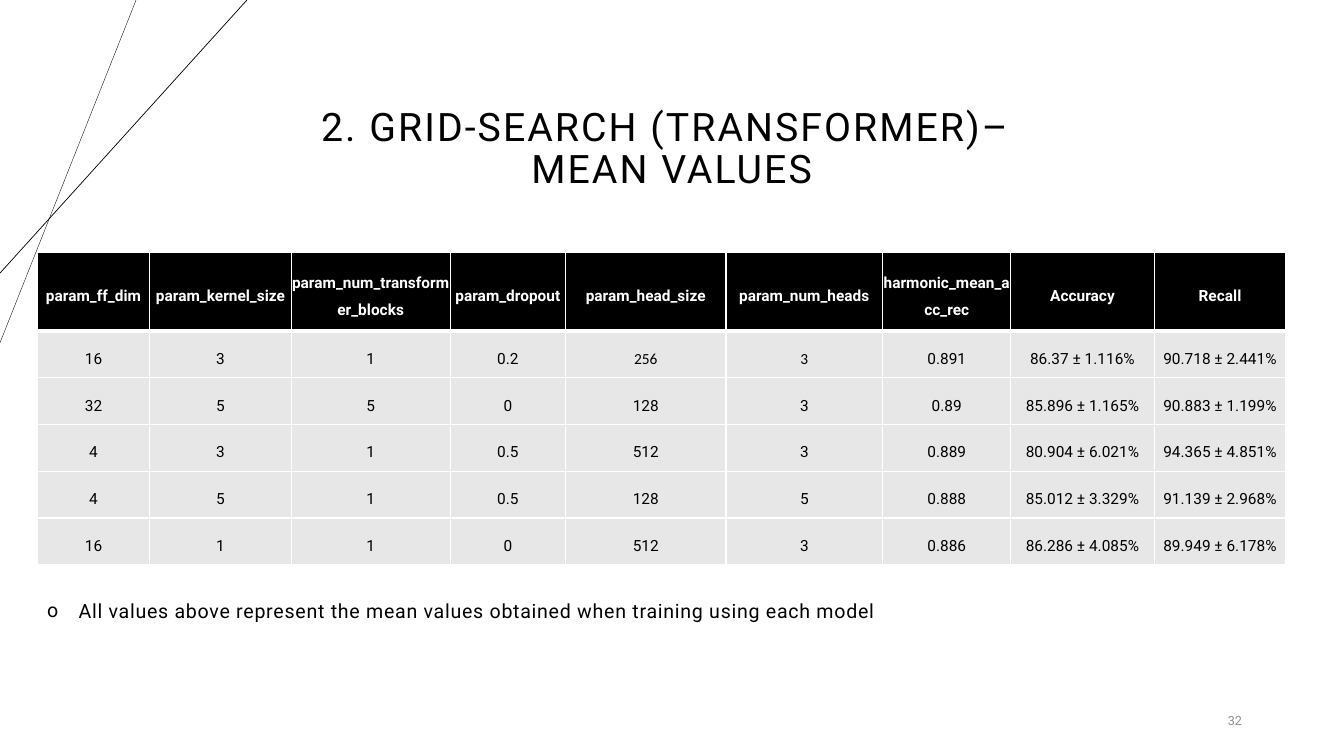
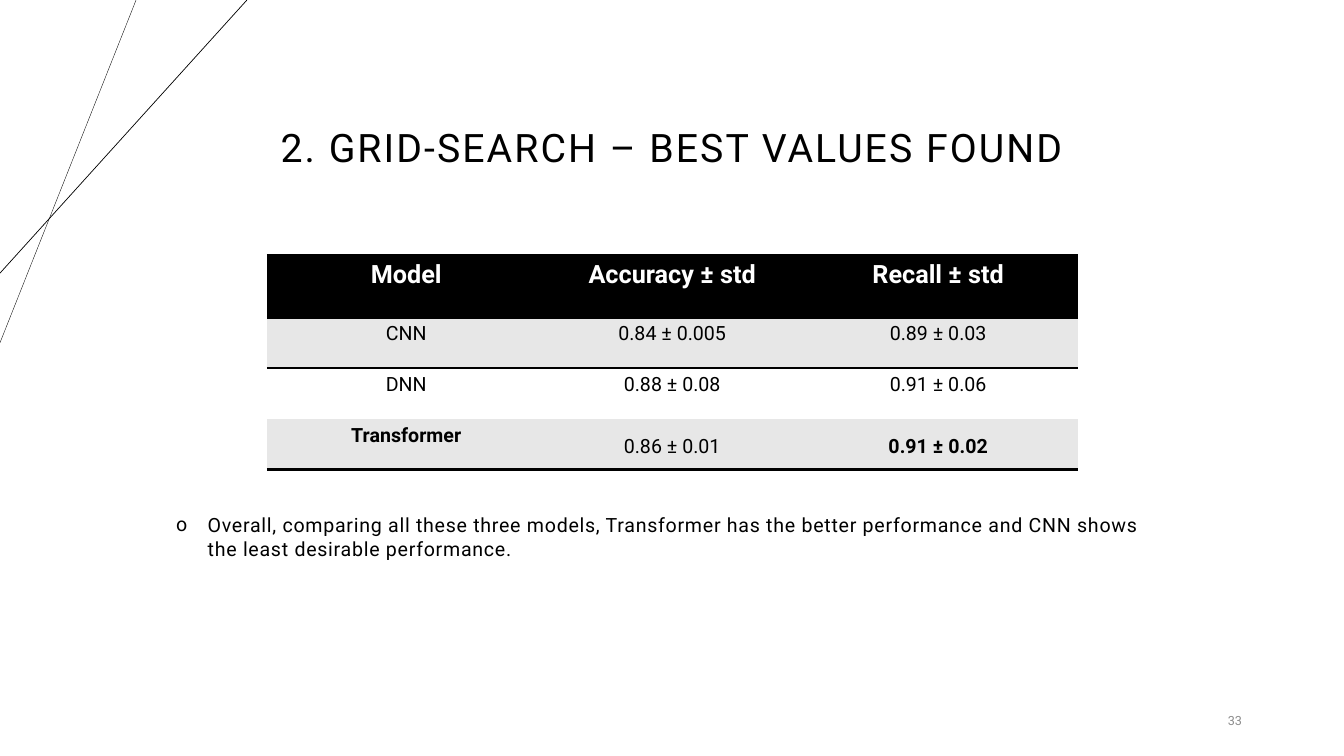
from lxml import etree
from pptx import Presentation
from pptx.dml.color import RGBColor
from pptx.enum.shapes import MSO_CONNECTOR
from pptx.enum.text import MSO_ANCHOR, PP_ALIGN
from pptx.oxml.ns import qn
from pptx.util import Pt

STRAIGHT = MSO_CONNECTOR.STRAIGHT
TOP, MIDDLE = MSO_ANCHOR.TOP, MSO_ANCHOR.MIDDLE
LEFT, CENTER, RIGHT = PP_ALIGN.LEFT, PP_ALIGN.CENTER, PP_ALIGN.RIGHT

COLORS = {"ink": "000000", "paper": "FFFFFF", "band": "E7E7E7", "page": "8C8C8C"}
FONT, ALT_FONT = "Roboto", "Calibri"
PLAIN_TABLE_STYLE = "{2D5ABB26-0587-4C30-8999-92F81FD0307C}"
BULLET_INDENT = 22.5

# (start x, end y, line width): each runs from the top edge to the left edge
CORNER_LINES = [(97.2, 244.8, 0.25), (176.4, 195.1, 0.5)]

GRID_COLUMNS = [80.5, 101, 113.5, 82.5, 114.5, 112, 91.5, 102.5, 94]
GRID_ROWS = [
    ["param_ff_dim", "param_kernel_size", "param_num_transformer_blocks",
     "param_dropout", "param_head_size", "param_num_heads",
     "harmonic_mean_acc_rec", "Accuracy", "Recall"],
    ["16", "3", "1", "0.2", "256", "3", "0.891", "86.37 ± 1.116%", "90.718 ± 2.441%"],
    ["32", "5", "5", "0", "128", "3", "0.89", "85.896 ± 1.165%", "90.883 ± 1.199%"],
    ["4", "3", "1", "0.5", "512", "3", "0.889", "80.904 ± 6.021%", "94.365 ± 4.851%"],
    ["4", "5", "1", "0.5", "128", "5", "0.888", "85.012 ± 3.329%", "91.139 ± 2.968%"],
    ["16", "1", "1", "0", "512", "3", "0.886", "86.286 ± 4.085%", "89.949 ± 6.178%"],
]
ALT_FONT_CELLS = {(1, 4), (1, 5)}

BEST_COLUMNS = [199, 181, 199]
BEST_ROWS = [
    ["Model", "Accuracy ± std", "Recall ± std"],
    ["CNN", "0.84 ± 0.005", "0.89 ± 0.03"],
    ["DNN", "0.88 ± 0.08", "0.91 ± 0.06"],
    ["Transformer", "0.86 ± 0.01", "0.91 ± 0.02"],
]
BEST_BOLD_CELLS = {(3, 0), (3, 2)}
BEST_TALL_CELLS = {(3, 1), (3, 2)}


def rgb(color):
    return RGBColor.from_string(COLORS[color])


def style_paragraph(paragraph, size, color="ink", align=LEFT, bold=False,
                    font=FONT, leading=None, tracking=0):
    paragraph.alignment = align
    if leading:
        paragraph.line_spacing = leading
    paragraph.font.size = Pt(size)
    paragraph.font.name = font
    paragraph.font.bold = bold
    paragraph.font.color.rgb = rgb(color)
    if tracking:
        defaults = paragraph._p.get_or_add_pPr().find(qn("a:defRPr"))
        defaults.set("spc", str(round(tracking * 100)))


def add_text(slide, text, box, anchor=TOP):
    """Add a wrapping text box and return its paragraph."""
    frame = slide.shapes.add_textbox(*map(Pt, box)).text_frame
    frame.word_wrap = True
    frame.vertical_anchor = anchor
    paragraph = frame.paragraphs[0]
    paragraph.text = text
    return paragraph


def add_corner_lines(slide):
    for start_x, end_y, width in CORNER_LINES:
        line = slide.shapes.add_connector(STRAIGHT, Pt(start_x), 0, 0, Pt(end_y))
        line.line.color.rgb = rgb("ink")
        line.line.width = Pt(width)
        etree.SubElement(line._element.spPr, qn("a:effectLst"))


def add_base_slide(prs, title, number):
    """Add a slide with the corner lines, title and page number."""
    slide = prs.slides.add_slide(prs.slide_layouts[6])
    add_corner_lines(slide)
    heading = add_text(slide, title, (148.3, 54.7, 663, 104.4), MIDDLE)
    style_paragraph(heading, 28, align=CENTER, leading=0.9, tracking=1.5)
    page = add_text(slide, str(number), (678.2, 500.4, 216, 28.8), MIDDLE)
    style_paragraph(page, 9, "page", RIGHT)
    return slide


def add_bullet(slide, text, left, top):
    paragraph = add_text(slide, text, (left, top, 723, 45))
    properties = paragraph._p.get_or_add_pPr()
    properties.set("marL", str(Pt(BULLET_INDENT)))
    properties.set("indent", str(-Pt(BULLET_INDENT)))
    etree.SubElement(properties, qn("a:buFont"), typeface=FONT)
    etree.SubElement(properties, qn("a:buChar"), char="o")
    style_paragraph(paragraph, 14, tracking=0.5)


def set_borders(cell, color, widths):
    """Draw the sides named in widths, a dict of L, R, T and B to points."""
    properties = cell._tc.get_or_add_tcPr()
    for side in "LRTB":
        if side in widths:
            line = etree.SubElement(properties, qn(f"a:ln{side}"),
                                    w=str(Pt(widths[side])))
            fill = etree.SubElement(line, qn("a:solidFill"))
            etree.SubElement(fill, qn("a:srgbClr"), val=COLORS[color])


def fill_cell(cell, text, color):
    cell.fill.solid()
    cell.fill.fore_color.rgb = rgb(color)
    paragraph = cell.text_frame.paragraphs[0]
    paragraph.text = text
    return paragraph


def add_plain_table(slide, left, top, columns, heights):
    table = slide.shapes.add_table(len(heights), len(columns), Pt(left), Pt(top),
                                   Pt(sum(columns)), Pt(sum(heights))).table
    table._tbl.tblPr.find(qn("a:tableStyleId")).text = PLAIN_TABLE_STYLE
    table.horz_banding = False
    for column, width in zip(table.columns, columns):
        column.width = Pt(width)
    for row, height in zip(table.rows, heights):
        row.height = Pt(height)
    return table


def add_grid_table(slide):
    heights = [56.2] + [33.4] * (len(GRID_ROWS) - 1)
    table = add_plain_table(slide, 26.6, 180.3, GRID_COLUMNS, heights)
    for r, values in enumerate(GRID_ROWS):
        header = r == 0
        borders = {"L": 1, "R": 1, "T": 3 if r == 1 else 1, "B": 3 if header else 1}
        for c, value in enumerate(values):
            cell = table.cell(r, c)
            cell.margin_left = cell.margin_right = 0
            cell.margin_top = cell.margin_bottom = 0
            cell.vertical_anchor = MIDDLE
            set_borders(cell, "paper", borders)
            paragraph = fill_cell(cell, value, "ink" if header else "band")
            style_paragraph(paragraph, 11, "paper" if header else "ink", CENTER,
                            bold=header, leading=1.5,
                            font=ALT_FONT if (r, c) in ALT_FONT_CELLS else FONT)


def add_best_table(slide):
    last = len(BEST_ROWS) - 1
    table = add_plain_table(slide, 190.7, 182.2, BEST_COLUMNS, [44.6] + [36.2] * last)
    for r, values in enumerate(BEST_ROWS):
        header = r == 0
        borders = {0: {"T": 2, "B": 2}, 1: {"T": 2}, last: {"B": 2}}.get(r, {})
        background = "ink" if header else "band" if r % 2 else "paper"
        for c, value in enumerate(values):
            cell = table.cell(r, c)
            set_borders(cell, "ink", borders)
            paragraph = fill_cell(cell, value, background)
            style_paragraph(paragraph, 18 if header else 14,
                            "paper" if header else "ink", CENTER,
                            bold=header or (r, c) in BEST_BOLD_CELLS,
                            leading=1.5 if (r, c) in BEST_TALL_CELLS else None)


def main():
    prs = Presentation()
    prs.slide_width, prs.slide_height = Pt(960), Pt(540)

    grid = add_base_slide(prs, "2. GRID-SEARCH (TRANSFORMER)– \vMEAN VALUES", 32)
    add_bullet(grid, "All values above represent the mean values obtained when "
                     "training using each model", 26.6, 424)
    add_grid_table(grid)

    best = add_base_slide(prs, "2. GRID-SEARCH – BEST VALUES FOUND", 33)
    add_bullet(best, "Overall, comparing all these three models, Transformer has the "
                     "better performance and CNN shows the least desirable "
                     "performance.", 118.8, 363)
    add_best_table(best)

    prs.save("out.pptx")


if __name__ == "__main__":
    main()
